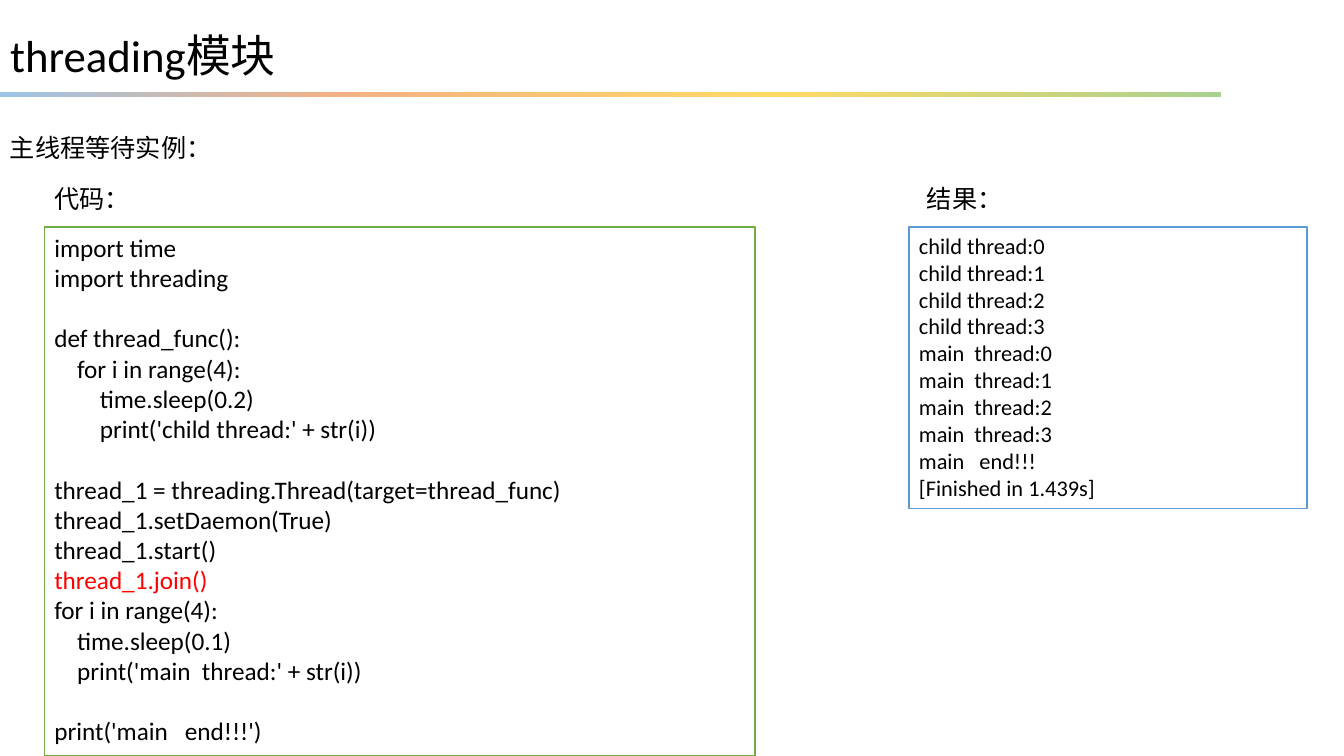
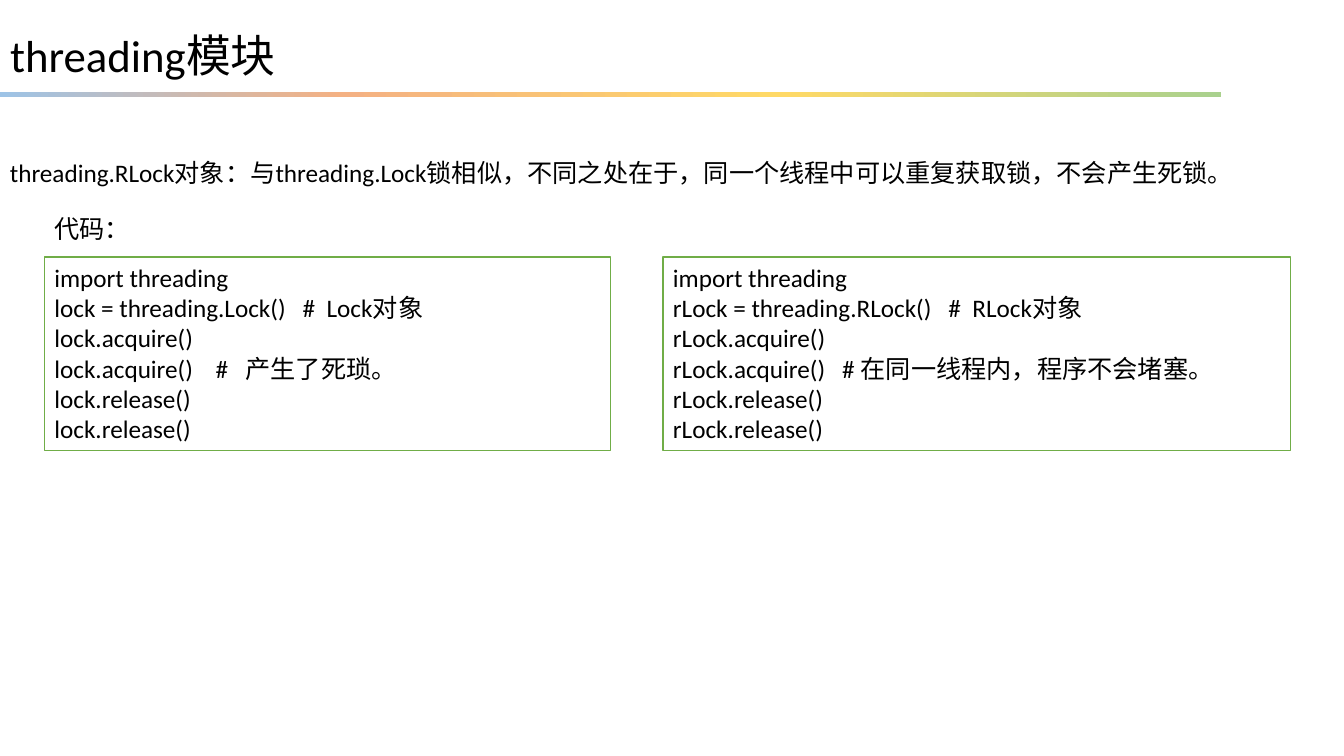
from dataclasses import dataclass

from lxml.etree import SubElement
from pptx import Presentation
from pptx.dml.color import RGBColor
from pptx.enum.shapes import MSO_SHAPE as Preset
from pptx.enum.text import MSO_ANCHOR as Anchor, MSO_AUTO_SIZE as AutoSize, PP_ALIGN as Align
from pptx.oxml.ns import qn
from pptx.shapes.autoshape import Shape
from pptx.slide import Slide
from pptx.util import Cm, Pt

BLACK = RGBColor(0x00, 0x00, 0x00)
WHITE = RGBColor(0xFF, 0xFF, 0xFF)
RED = RGBColor(0xFF, 0x00, 0x00)
GREEN = RGBColor(0x70, 0xAD, 0x47)
BLUE = RGBColor(0x5B, 0x9B, 0xD5)
BAND_STOPS = (
    (0, RGBColor(0x9D, 0xC3, 0xE6)),
    (28, RGBColor(0xF4, 0xB1, 0x83)),
    (64, RGBColor(0xFF, 0xD9, 0x66)),
    (100, RGBColor(0xA9, 0xD1, 0x8E)),
)
LATIN_FONT = "Calibri"
LABEL_FONT = "Noto Sans CJK SC"
TITLE = "threading模块"
SLIDE_WIDTH, SLIDE_HEIGHT = 33.87, 19.05
LABEL_HEIGHT = 1.02
LABEL_RISE = 1.22
CODE_LEFT = 1.12
FRAME_FORMAT = {"word_wrap": True, "auto_size": AutoSize.NONE, "vertical_anchor": Anchor.TOP}


@dataclass(frozen=True)
class Label:
    """A single line of text without a frame, in centimetres."""

    text: str
    left: float
    top: float
    width: float = 4.8
    font: str = LABEL_FONT


@dataclass(frozen=True)
class Panel:
    """A framed block of code or output, in centimetres."""

    text: str
    left: float
    top: float
    width: float
    height: float
    line: RGBColor = GREEN
    size: int = 18
    marked: str = ""


@dataclass(frozen=True)
class Page:
    """The labels and panels of one slide."""

    labels: tuple[Label, ...]
    panels: tuple[Panel, ...]


WAIT_CODE = """import time
import threading

def thread_func():
    for i in range(4):
        time.sleep(0.2)
        print('child thread:' + str(i))

thread_1 = threading.Thread(target=thread_func)
thread_1.setDaemon(True)
thread_1.start()
thread_1.join()
for i in range(4):
    time.sleep(0.1)
    print('main  thread:' + str(i))

print('main   end!!!')"""

WAIT_RESULT = """child thread:0
child thread:1
child thread:2
child thread:3
main  thread:0
main  thread:1
main  thread:2
main  thread:3
main   end!!!
[Finished in 1.439s]"""

LOCK_CODE = """import threading
lock = threading.Lock()   #  Lock对象
lock.acquire()
lock.acquire()    #   产生了死琐。
lock.release()
lock.release()"""

RLOCK_CODE = """import threading
rLock = threading.RLock()   #  RLock对象
rLock.acquire()
rLock.acquire()   # 在同一线程内，程序不会堵塞。
rLock.release()
rLock.release()"""

RLOCK_LEAD = (
    "threading.RLock对象：与threading.Lock锁相似，不同之处在于，"
    "同一个线程中可以重复获取锁，不会产生死锁。"
)
WAIT_TOP, LOCK_TOP = 5.72, 6.48

PAGES = (
    Page(
        labels=(
            Label("主线程等待实例：", 0, 3.2, 16.8),
            Label("代码：", CODE_LEFT, WAIT_TOP - LABEL_RISE),
            Label("结果：", 23.11, WAIT_TOP - LABEL_RISE),
        ),
        panels=(
            Panel(WAIT_CODE, CODE_LEFT, WAIT_TOP, 17.91, 13.33, marked="thread_1.join()"),
            Panel(WAIT_RESULT, 22.91, WAIT_TOP, 10.03, 7.09, line=BLUE, size=16),
        ),
    ),
    Page(
        labels=(
            Label(RLOCK_LEAD, 0, 3.84, SLIDE_WIDTH, LATIN_FONT),
            Label("代码：", CODE_LEFT, LOCK_TOP - LABEL_RISE),
        ),
        panels=(
            Panel(LOCK_CODE, CODE_LEFT, LOCK_TOP, 14.27, 4.88),
            Panel(RLOCK_CODE, 16.71, LOCK_TOP, 15.82, 4.88),
        ),
    ),
)


def write_text(
    box: Shape, text: str, size: int, font: str = LATIN_FONT, marked: str = ""
) -> None:
    """Write lines into a box, turning each empty line into space before the next one."""
    frame = box.text_frame
    for name, value in FRAME_FORMAT.items():
        setattr(frame, name, value)
    gap = False
    para = frame.paragraphs[0]
    for index, line in enumerate(text.split("\n")):
        if not line:
            gap = True
            continue
        if index:
            para = frame.add_paragraph()
        para.alignment = Align.LEFT
        if gap:
            para.space_before = Pt(size * 1.2)
        gap = False
        span = para.add_run()
        span.text = line
        span.font.color.rgb = RED if line == marked else BLACK
        for name, value in {"size": Pt(size), "name": font}.items():
            setattr(span.font, name, value)
        SubElement(span.font._element, qn("a:ea"), typeface=LATIN_FONT)


def add_title(slide: Slide) -> None:
    """Place the shared title in the title placeholder."""
    title = slide.shapes.title
    place = {"left": Cm(0), "top": Cm(0.56), "width": Cm(13.92), "height": Cm(1.63)}
    for name, value in place.items():
        setattr(title, name, value)
    write_text(title, TITLE, 32)


def add_band(slide: Slide) -> None:
    """Draw the shared gradient band below the title."""
    band = slide.shapes.add_shape(Preset.RECTANGLE, Cm(0), Cm(2.31), Cm(30.76), Cm(0.13))
    band.shadow.inherit = False
    band.line.fill.background()
    band.fill.gradient()
    band.fill.gradient_angle = 0
    stops = band._element.spPr.find(qn("a:gradFill")).find(qn("a:gsLst"))
    for stop in list(stops):
        stops.remove(stop)
    for percent, color in BAND_STOPS:
        stop = SubElement(stops, qn("a:gs"), pos=str(percent * 1000))
        SubElement(stop, qn("a:srgbClr"), val=str(color))


def add_label(slide: Slide, label: Label) -> None:
    """Add one unframed line of text."""
    box = slide.shapes.add_textbox(
        Cm(label.left), Cm(label.top), Cm(label.width), Cm(LABEL_HEIGHT)
    )
    write_text(box, label.text, 18, label.font)


def add_panel(slide: Slide, panel: Panel) -> None:
    """Add one framed block of code or output."""
    box = slide.shapes.add_shape(
        Preset.RECTANGLE, Cm(panel.left), Cm(panel.top), Cm(panel.width), Cm(panel.height)
    )
    box.shadow.inherit = False
    box.fill.solid()
    box.fill.fore_color.rgb = WHITE
    box.line.color.rgb = panel.line
    box.line.width = Pt(1)
    write_text(box, panel.text, panel.size, marked=panel.marked)


def main() -> None:
    """Build the deck and save it."""
    deck = Presentation()
    deck.slide_width, deck.slide_height = Cm(SLIDE_WIDTH), Cm(SLIDE_HEIGHT)
    title_only = deck.slide_layouts[5]
    for page in PAGES:
        slide = deck.slides.add_slide(title_only)
        add_band(slide)
        add_title(slide)
        for panel in page.panels:
            add_panel(slide, panel)
        for label in page.labels:
            add_label(slide, label)
    deck.save("out.pptx")


if __name__ == "__main__":
    main()
